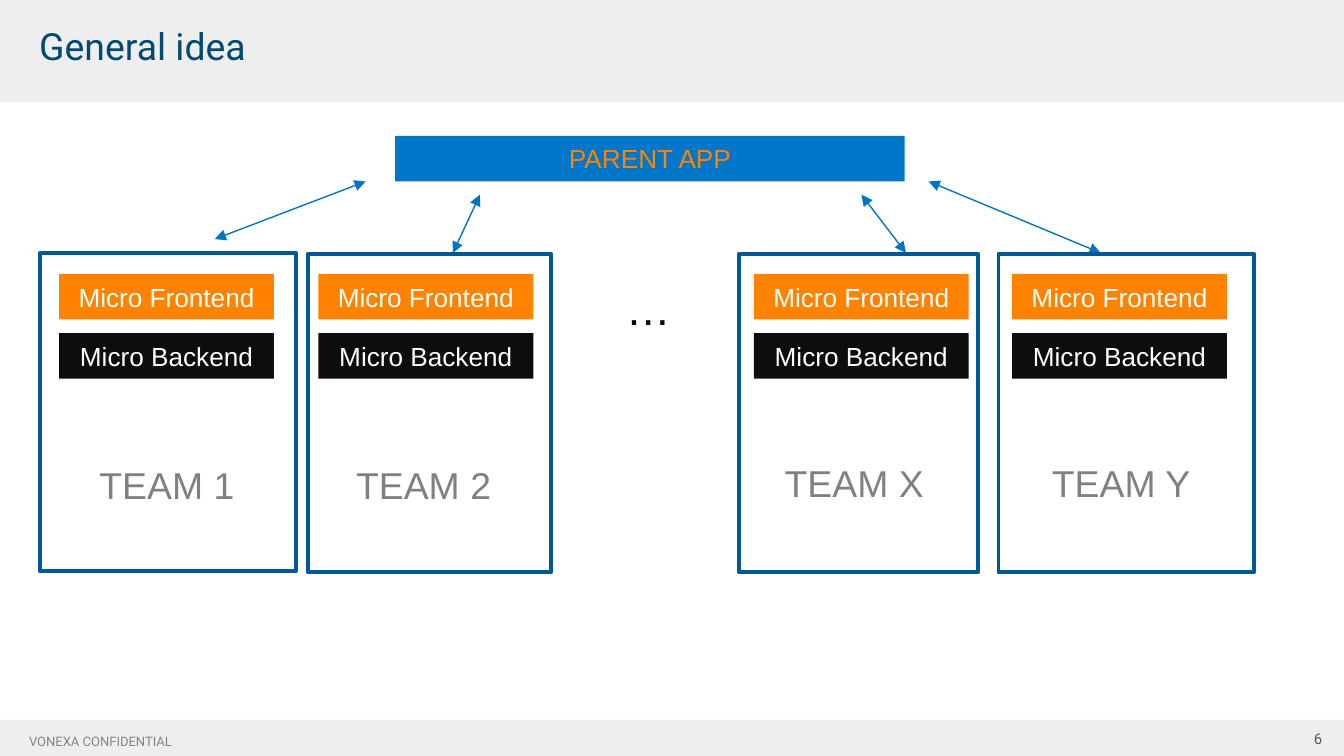
from lxml import etree
from pptx import Presentation
from pptx.dml.color import RGBColor
from pptx.enum.shapes import MSO_CONNECTOR, MSO_SHAPE
from pptx.enum.text import MSO_ANCHOR, MSO_AUTO_SIZE, PP_ALIGN
from pptx.oxml.ns import qn
from pptx.util import Cm, Pt

RECTANGLE = MSO_SHAPE.RECTANGLE
STRAIGHT = MSO_CONNECTOR.STRAIGHT
TOP, MIDDLE = MSO_ANCHOR.TOP, MSO_ANCHOR.MIDDLE
LEFT, CENTER, RIGHT = PP_ALIGN.LEFT, PP_ALIGN.CENTER, PP_ALIGN.RIGHT
GROW = MSO_AUTO_SIZE.SHAPE_TO_FIT_TEXT
FIXED = MSO_AUTO_SIZE.NONE

BAND, BLUE, ORANGE, BLACK, WHITE = "EEEEEE", "0077C8", "FF8200", "0D0D0D", "FFFFFF"
FRAME, ARROW, GRAY = "005894", "0074C4", "808080"

BANDS = [(0, -0.03, 25.4, 1.96), (0, 13.61, 25.4, 0.68)]
TEAMS = [
    {"name": "TEAM 1", "frame": (0.76, 4.78, 4.83), "bars": 1.12, "label": (1.63, 8.61)},
    {"name": "TEAM 2", "frame": (5.82, 4.8, 4.6), "bars": 6.02, "label": (6.48, 8.61)},
    {"name": "TEAM X", "frame": (13.97, 4.8, 4.52), "bars": 14.25, "label": (14.58, 8.56)},
    {"name": "TEAM Y", "frame": (18.87, 4.8, 4.83), "bars": 19.13, "label": (19.63, 8.56)},
]
LAYERS = [("Micro Frontend", ORANGE), ("Micro Backend", BLACK)]
ARROWS = [
    (4.06, 4.52, 6.91, 3.43),
    (8.56, 4.78, 9.07, 3.68),
    (16.28, 3.68, 17.12, 4.78),
    (17.55, 3.43, 20.8, 4.78),
]
BAR_WIDTH, BAR_HEIGHT = 4.06, 0.86
BARS_TOP, BAR_STEP = 5.18, 1.12
FRAME_HEIGHT = 6.02


def rgb(value):
    return RGBColor.from_string(value)


def lengths(box):
    return [Cm(value) for value in box]


def write(shape, text, size, color, font="Arial", align=LEFT, anchor=TOP,
          inset=(0.25, 0.13), spacing=None, fit=GROW):
    frame = shape.text_frame
    frame.word_wrap = True
    frame.auto_size = fit
    frame.vertical_anchor = anchor
    frame.margin_left = frame.margin_right = Cm(inset[0])
    frame.margin_top = frame.margin_bottom = Cm(inset[1])
    frame.text = text
    paragraph = frame.paragraphs[0]
    paragraph.alignment = align
    paragraph.line_spacing = spacing
    paragraph.font.name = font
    paragraph.font.size = Pt(size)
    paragraph.font.color.rgb = rgb(color)


def add_text(slide, box, text, size, color, **options):
    write(slide.shapes.add_textbox(*lengths(box)), text, size, color, **options)


def add_rectangle(slide, box, fill=None, line=None):
    shape = slide.shapes.add_shape(RECTANGLE, *lengths(box))
    shape.shadow.inherit = False
    if fill:
        shape.fill.solid()
        shape.fill.fore_color.rgb = rgb(fill)
    else:
        shape.fill.background()
    if line:
        shape.line.color.rgb = rgb(line)
        shape.line.width = Pt(2)
    else:
        shape.line.fill.background()
    return shape


def add_arrow(slide, ends):
    arrow = slide.shapes.add_connector(STRAIGHT, *lengths(ends))
    arrow.line.color.rgb = rgb(ARROW)
    arrow.line.width = Pt(0.75)
    properties = arrow._element.spPr
    outline = properties.find(qn("a:ln"))
    for tag in ("a:headEnd", "a:tailEnd"):
        etree.SubElement(outline, qn(tag), type="triangle")
    etree.SubElement(properties, qn("a:effectLst"))


def main():
    presentation = Presentation()
    presentation.slide_width, presentation.slide_height = Cm(25.4), Cm(14.29)
    slide = presentation.slides.add_slide(presentation.slide_layouts[5])

    for band in BANDS:
        add_rectangle(slide, band, fill=BAND)
    add_text(slide, (23.72, 13.41, 1.52, 1.09), "6", 8, "595959", font="Roboto",
             align=RIGHT, anchor=MIDDLE, inset=(0.25, 0.25), fit=FIXED)
    add_text(slide, (0.3, 13.74, 8.33, 0.51), "VONEXA CONFIDENTIAL", 7, "868686",
             font="Roboto", anchor=MIDDLE, inset=(0.25, 0.25), spacing=1.15, fit=FIXED)

    title = slide.shapes.title
    title.left, title.top, title.width, title.height = lengths((0.56, 0.38, 23.11, 0.97))
    write(title, "General idea", 20, "004A74", font="Roboto", anchor=MIDDLE,
          inset=(0.18, 0.18), fit=FIXED)
    slide.shapes._spTree.append(title._element)

    parent = add_rectangle(slide, (7.47, 2.57, 9.63, BAR_HEIGHT), fill=BLUE)
    write(parent, "PARENT APP", 14, ORANGE, align=CENTER)

    for team in TEAMS:
        for row, (text, fill) in enumerate(LAYERS):
            top = BARS_TOP + row * BAR_STEP
            bar = add_rectangle(slide, (team["bars"], top, BAR_WIDTH, BAR_HEIGHT), fill=fill)
            write(bar, text, 14, WHITE, align=CENTER)
    add_text(slide, (11.58, BARS_TOP, 1.85, 1.27), "…", 24, "000000")

    for ends in ARROWS:
        add_arrow(slide, ends)
    for team in TEAMS:
        add_rectangle(slide, (*team["frame"], FRAME_HEIGHT), line=FRAME)
        add_text(slide, (*team["label"], 3.3, 1.12), team["name"], 20, GRAY)

    presentation.save("out.pptx")


if __name__ == "__main__":
    main()
